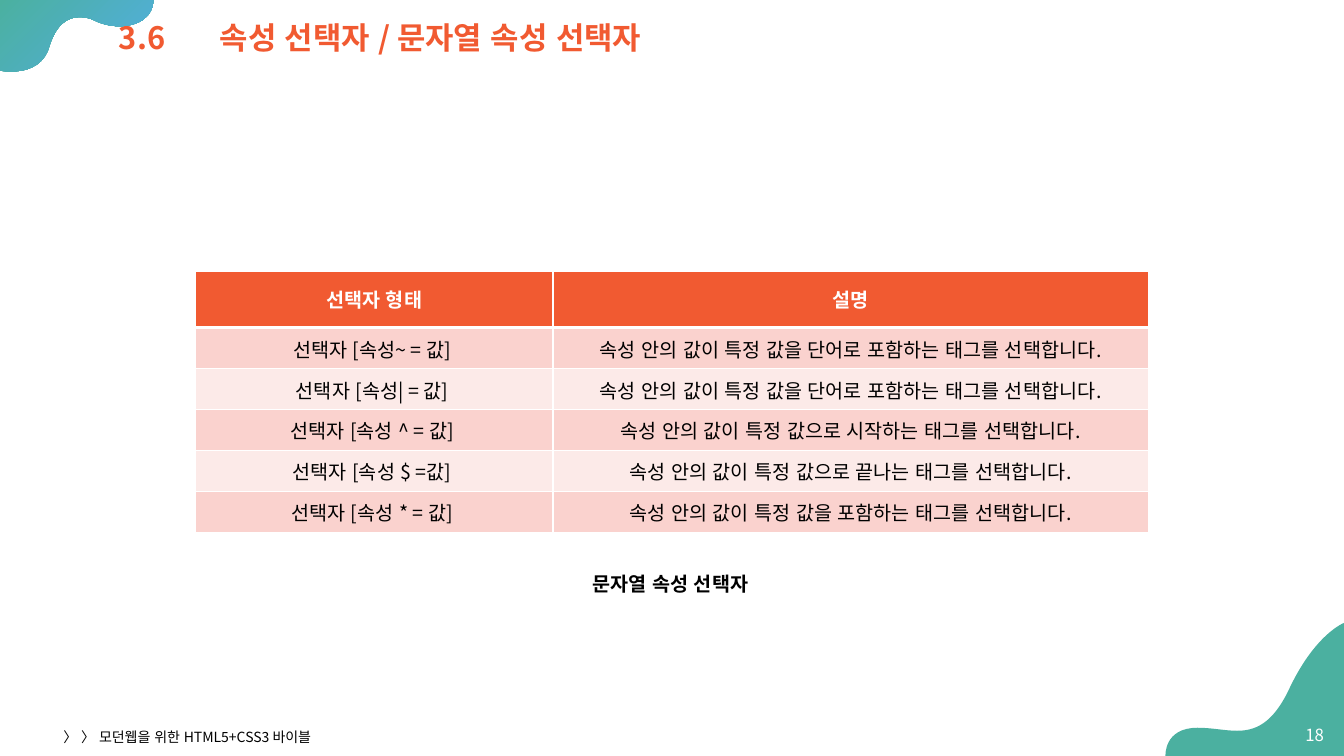
import pptx
import pptx.dml.color
import pptx.enum.lang
import pptx.enum.text
import pptx.oxml.ns
import pptx.util
from lxml import etree

RGBColor = pptx.dml.color.RGBColor
ORANGE = RGBColor(0xF1, 0x5A, 0x31)
TEAL = RGBColor(0x4B, 0xB0, 0xA0)
SKY = RGBColor(0x52, 0xAE, 0xE1)
PINK = RGBColor(0xFA, 0xD2, 0xCE)
PALE_PINK = RGBColor(0xFC, 0xEA, 0xE8)
BLACK = RGBColor(0, 0, 0)
WHITE = RGBColor(0xFF, 0xFF, 0xFF)

FONT = "Noto Sans CJK KR"
WIDTH, HEIGHT = 13.33, 7.5
UNITS_PER_INCH = 1000

ALIGN = pptx.enum.text.PP_ALIGN
ANCHOR = pptx.enum.text.MSO_ANCHOR
AUTO_SIZE = pptx.enum.text.MSO_AUTO_SIZE
Inches = pptx.util.Inches
qn = pptx.oxml.ns.qn

# Outlines start at a point; a pair is a straight line, a six is a Bézier curve.
TOP_LEFT_WAVE = [
    (1.52, 0), (0, 0), (0, 0.7),
    (0, 0.7, 0.04, 0.71, 0.11, 0.71),
    (0.24, 0.71, 0.43, 0.67, 0.49, 0.46),
    (0.56, 0.23, 0.68, 0.17, 0.79, 0.17),
    (0.84, 0.17, 0.89, 0.18, 0.93, 0.2),
    (1.01, 0.24, 1.1, 0.26, 1.18, 0.26),
    (1.37, 0.26, 1.52, 0.17, 1.52, 0),
]
BOTTOM_RIGHT_WAVE = [
    (13.33, 6.18),
    (13.33, 6.18, 13.04, 6.29, 12.78, 6.85),
    (12.62, 7.18, 12.45, 7.25, 12.27, 7.25),
    (12.15, 7.25, 12.02, 7.22, 11.88, 7.22),
    (11.54, 7.22, 11.56, 7.5, 11.56, 7.5),
    (13.33, 7.5),
]
SELECTORS = [
    ("선택자 형태", "설명"),
    ("선택자 [속성~ = 값] ", "속성 안의 값이 특정 값을 단어로 포함하는 태그를 선택합니다."),
    ("선택자 [속성| = 값] ", "속성 안의 값이 특정 값을 단어로 포함하는 태그를 선택합니다."),
    ("선택자 [속성 ^ = 값] ", "속성 안의 값이 특정 값으로 시작하는 태그를 선택합니다."),
    ("선택자 [속성 $ =값] ", "속성 안의 값이 특정 값으로 끝나는 태그를 선택합니다."),
    ("선택자 [속성 * = 값] ", "속성 안의 값이 특정 값을 포함하는 태그를 선택합니다."),
]


def write(frame, text, size, color, bold=False, align=ALIGN.LEFT):
    paragraph = frame.paragraphs[0]
    paragraph.alignment = align
    run = paragraph.add_run()
    run.text = text
    run.font.size = pptx.util.Pt(size)
    run.font.bold = bold
    run.font.color.rgb = color
    run.font.name = FONT
    run.font.language_id = pptx.enum.lang.MSO_LANGUAGE_ID.KOREAN
    east_asian = etree.SubElement(run.font._element, qn("a:ea"))
    east_asian.set("typeface", FONT)
    return paragraph


def add_wave(slide, outline):
    ends = [tuple(round(n * UNITS_PER_INCH) for n in segment[-2:]) for segment in outline]
    builder = slide.shapes.build_freeform(*ends[0], scale=Inches(1) / UNITS_PER_INCH)
    builder.add_line_segments(ends[1:], close=False)
    wave = builder.convert_to_shape()
    left, top = min(x for x, _ in ends), min(y for _, y in ends)
    outline_path = next(wave._element.iter(qn("a:path")))
    for step, segment in zip(list(outline_path)[1:], outline[1:]):
        if len(segment) == 6:
            curve = etree.Element(qn("a:cubicBezTo"))
            for x, y in zip(segment[::2], segment[1::2]):
                etree.SubElement(curve, qn("a:pt"),
                                 x=str(round(x * UNITS_PER_INCH) - left),
                                 y=str(round(y * UNITS_PER_INCH) - top))
            outline_path.replace(step, curve)
    etree.SubElement(outline_path, qn("a:close"))
    wave.shadow.inherit = False
    wave.line.fill.background()
    return wave


def add_waves(slide):
    top = add_wave(slide, TOP_LEFT_WAVE)
    top.fill.gradient()
    top.fill.gradient_angle = 315
    for stop, color in zip(top.fill.gradient_stops, (TEAL, SKY)):
        stop.color.rgb = color
    bottom = add_wave(slide, BOTTOM_RIGHT_WAVE)
    bottom.fill.solid()
    bottom.fill.fore_color.rgb = TEAL


def add_heading(slide, left, top, width, height):
    heading = slide.shapes.title
    heading.left, heading.top = Inches(left), Inches(top)
    heading.width, heading.height = Inches(width), Inches(height)
    frame = heading.text_frame
    frame.auto_size = AUTO_SIZE.NONE
    frame.vertical_anchor = ANCHOR.MIDDLE
    properties = frame.paragraphs[0]._p.get_or_add_pPr()
    tabs = etree.SubElement(properties, qn("a:tabLst"))
    etree.SubElement(tabs, qn("a:tab"), pos=str(Inches(1)), algn="l")
    paragraph = write(frame, "3.6\t속성 선택자 / 문자열 속성 선택자", 22, ORANGE, bold=True)
    paragraph.line_spacing = 0.9


def set_borders(cell, top_width, bottom_width):
    properties = cell._tc.get_or_add_tcPr()
    for side, width in (("L", 1), ("R", 1), ("T", top_width), ("B", bottom_width)):
        border = etree.SubElement(properties, qn(f"a:ln{side}"), w=str(pptx.util.Pt(width)))
        fill = etree.SubElement(border, qn("a:solidFill"))
        etree.SubElement(fill, qn("a:srgbClr"), val=str(WHITE))


def add_selector_table(slide, left, top, width, height):
    header_height = 0.56
    row_height = (height - header_height) / (len(SELECTORS) - 1)
    form_width = width * 0.375
    table = slide.shapes.add_table(
        len(SELECTORS), 2, Inches(left), Inches(top), Inches(width), Inches(height)
    ).table
    table.columns[0].width = Inches(form_width)
    table.columns[1].width = Inches(width - form_width)
    for index, texts in enumerate(SELECTORS):
        header = index == 0
        table.rows[index].height = Inches(header_height if header else row_height)
        row_fill = ORANGE if header else (PALE_PINK, PINK)[index % 2]
        for column, text in enumerate(texts):
            cell = table.cell(index, column)
            cell.vertical_anchor = ANCHOR.MIDDLE
            if not header:
                cell.margin_left = cell.margin_right = cell.margin_top = Inches(0.01)
                cell.margin_bottom = 0
            # The thick line under the header is shared with the first body row.
            set_borders(cell, 3 if index == 1 else 1, 3 if header else 1)
            cell.fill.solid()
            cell.fill.fore_color.rgb = row_fill
            write(cell.text_frame, text, 14, WHITE if header else BLACK, header, ALIGN.CENTER)


def add_label(slide, box, text, size, color, bold=False, align=ALIGN.LEFT, wrap=True):
    frame = slide.shapes.add_textbox(*map(Inches, box)).text_frame
    frame.word_wrap = wrap
    frame.auto_size = AUTO_SIZE.NONE if wrap else AUTO_SIZE.SHAPE_TO_FIT_TEXT
    frame.vertical_anchor = ANCHOR.MIDDLE if wrap else ANCHOR.TOP
    write(frame, text, size, color, bold, align)


def add_footer(slide, left, top, width, height):
    add_label(slide, (left + width - 0.44, top, 0.44, height), "18", 12, WHITE,
              align=ALIGN.RIGHT)
    add_label(slide, (left, top + 0.1, 4.5, 0.24),
              "〉 〉 모던웹을 위한 HTML5+CSS3 바이블", 10, BLACK)


def main():
    deck = pptx.Presentation()
    deck.slide_width, deck.slide_height = Inches(WIDTH), Inches(HEIGHT)
    slide = deck.slides.add_slide(deck.slide_layouts[5])
    add_waves(slide)
    add_heading(slide, 1.08, 0.18, WIDTH - 1.08, 0.43)
    add_selector_table(slide, 1.94, 2.69, 9.45, 2.59)
    add_label(slide, (5.78, 5.62, 1.78, 0.34), "문자열 속성 선택자", 14, BLACK,
              bold=True, wrap=False)
    add_footer(slide, 0.53, 7.09, 12.7, 0.4)
    deck.save("out.pptx")


if __name__ == "__main__":
    main()
